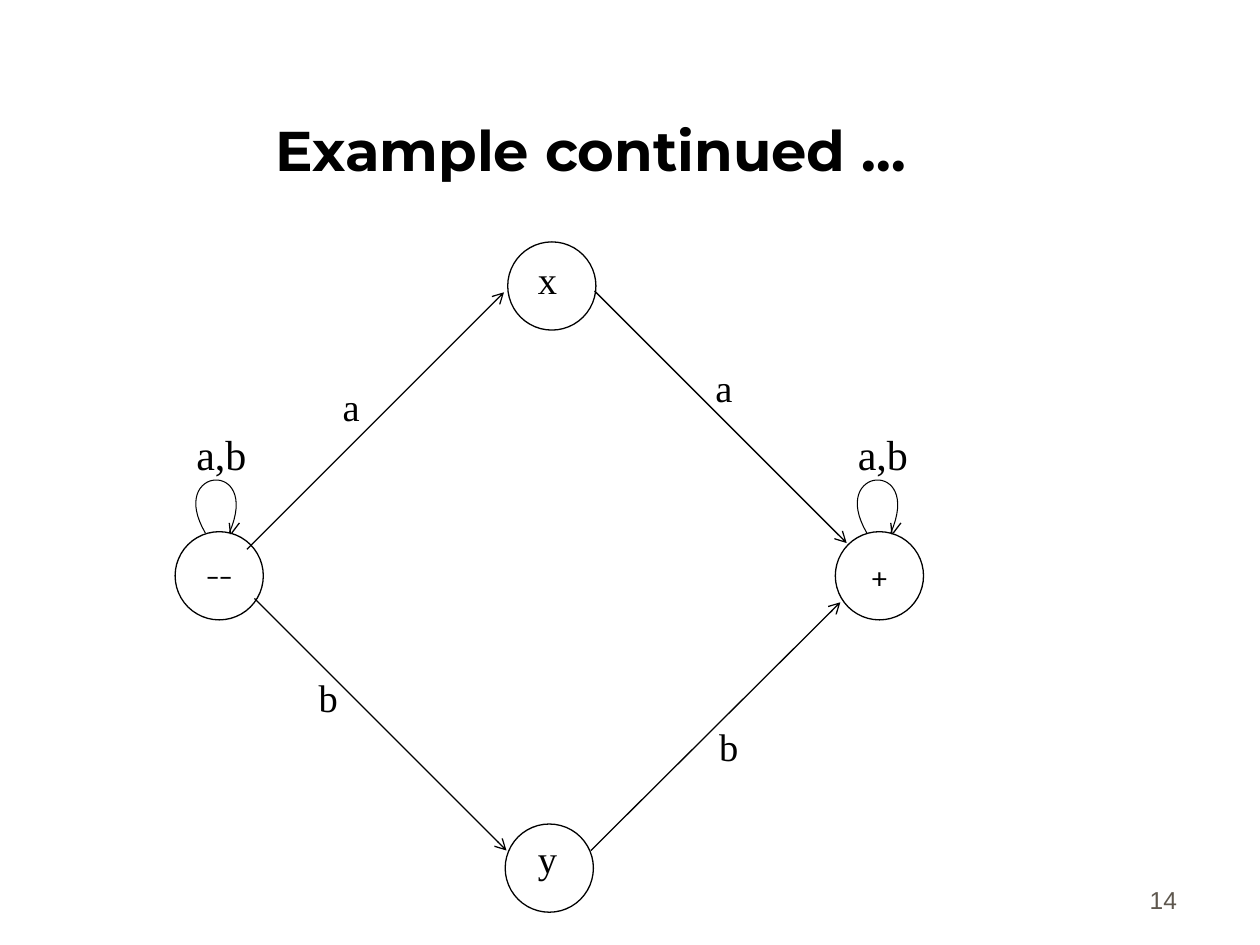
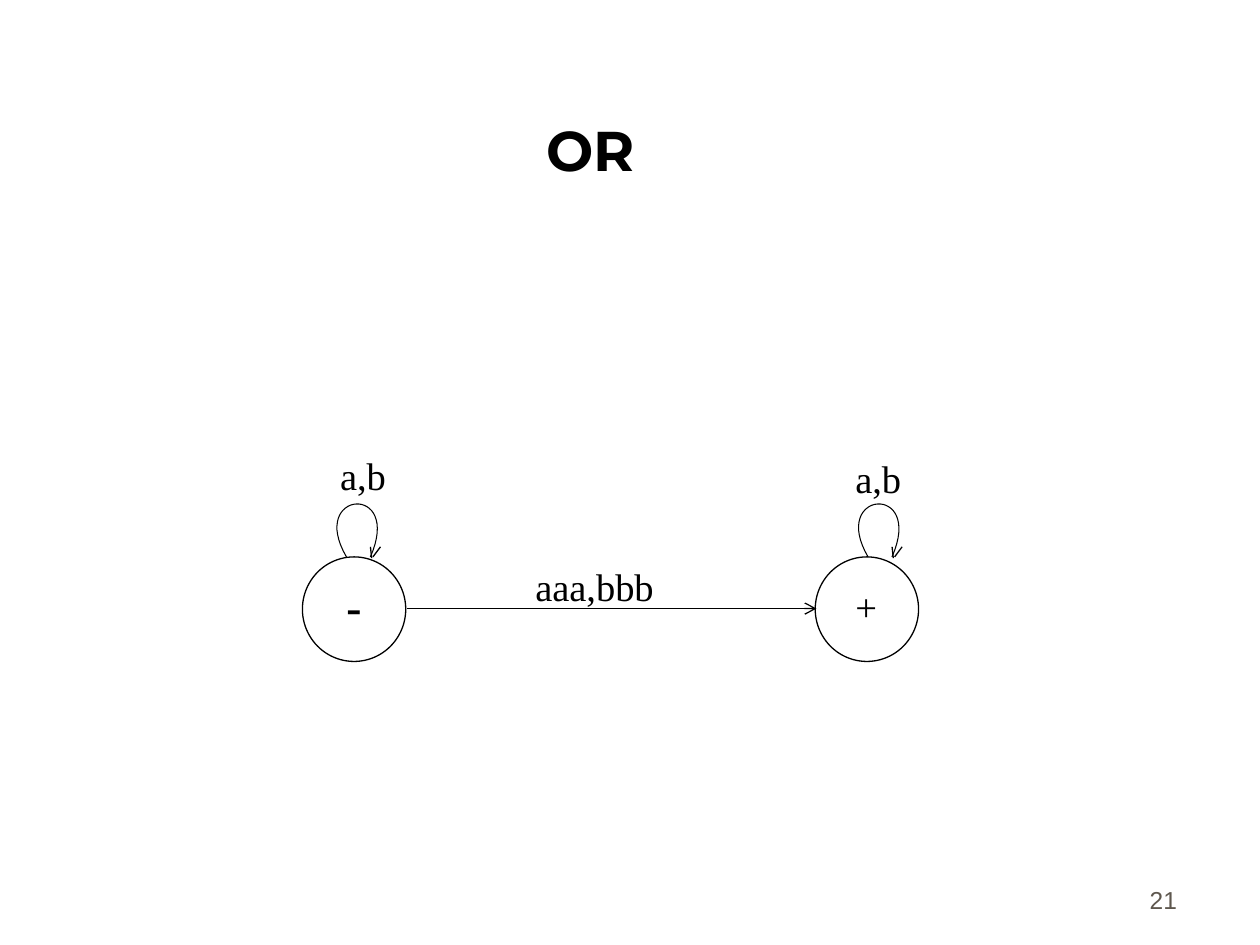
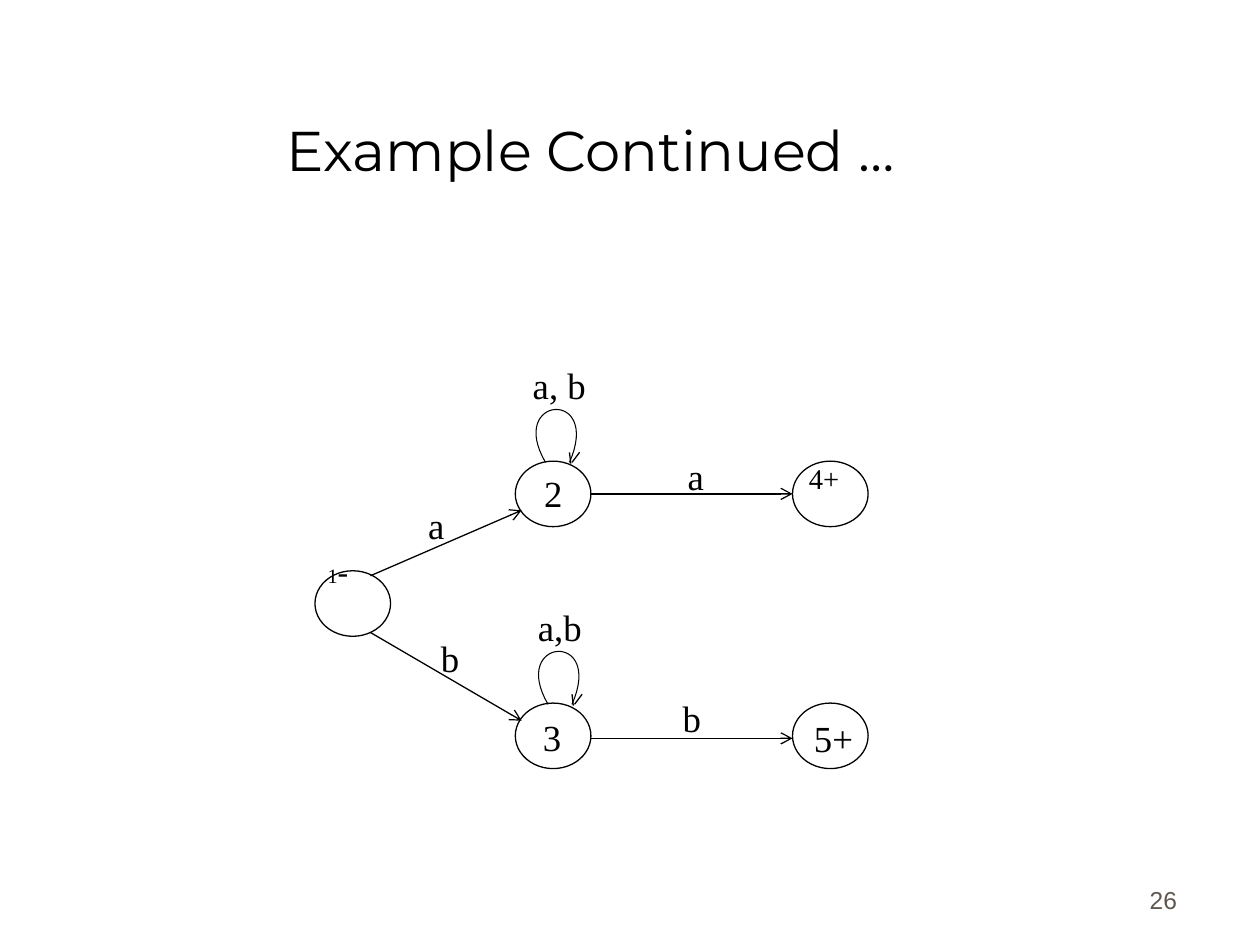
import pptx
import pptx.util
import pptx.dml.color
import pptx.enum.shapes
import pptx.enum.text
import pptx.oxml
import pptx.oxml.ns

Inches = pptx.util.Inches
Pt = pptx.util.Pt
Align = pptx.enum.text.PP_ALIGN
Anchor = pptx.enum.text.MSO_ANCHOR
Shape = pptx.enum.shapes.MSO_SHAPE
Line = pptx.enum.shapes.MSO_CONNECTOR

INK = "000000"
PAPER = "FFFFFF"
GREY = "5E574E"
SERIF = "Times New Roman"
FRAME = {
    "word_wrap": True,
    "auto_size": pptx.enum.text.MSO_AUTO_SIZE.NONE,
    "margin_left": Inches(0.1),
    "margin_right": Inches(0.1),
    "margin_top": Inches(0.05),
    "margin_bottom": Inches(0.05),
}
BASE = {"anchor": Anchor.TOP, "align": Align.LEFT}
LOW = {"vertical_anchor": Anchor.BOTTOM}
SIGN = {"margin_top": Inches(0.23)}
BEND = [(0, 0), (-0.31, -0.53), (0.45, -0.59), (0.19, 0)]
BARBS = [(0.21, 0, 0.27, -0.08), (0.19, -0.08, 0.2, 0.01)]
STEPS = 32


def hue(code):
    return pptx.dml.color.RGBColor.from_string(code)


def write(frame, runs, align=Align.LEFT, font=SERIF, bold=False, ink=INK, box={}):
    for key, val in {**FRAME, **box}.items():
        setattr(frame, key, val)
    para = frame.paragraphs[0]
    para.alignment = align
    for text, size in runs:
        run = para.add_run()
        run.text = text
        look = {"size": Pt(size), "name": font, "bold": bold}
        for key, val in look.items():
            setattr(run.font, key, val)
        run.font.color.rgb = hue(ink)


SLIDES = [
    {
        "title": "Example continued …", "bold": True, "page": "14",
        "node": (0.7, 0.7),
        "nodes": [(4.01, 6.54), (1.39, 4.22), (6.63, 4.22), (4.03, 1.92)],
        "edges": [
            (1.96, 4.36, 4, 2.32), (4.72, 2.31, 6.72, 4.31),
            (2.02, 4.75, 4.02, 6.75), (4.69, 6.75, 6.67, 4.78),
        ],
        "loops": [(6.88, 4.23), (1.63, 4.23)],
        "wide": 0.98, "size": 22,
        "labels": [
            ("a", 2.62, 2.99, {}), ("b", 2.43, 5.3, {}),
            ("a", 5.58, 2.84, {}), ("b", 5.61, 5.69, {}),
            ("x", 4.17, 1.98, {}), ("y", 4.17, 6.58, {}),
            ([("a,b", 24)], 6.71, 3.35, {}), ([("a,b", 24)], 1.46, 3.35, {}),
            ([("––", 16)], 1.25, 4.2, {"font": "Karla", "align": Align.CENTER, "box": SIGN}),
            ([("+", 16)], 6.49, 4.2, {"font": "Karla", "align": Align.CENTER, "box": SIGN}),
        ],
    },
    {
        "title": "OR", "bold": True, "page": "21",
        "node": (0.82, 0.83),
        "nodes": [(2.4, 4.42), (6.47, 4.42)],
        "edges": [(3.23, 4.83, 6.48, 4.83)],
        "loops": [(2.75, 4.42), (6.89, 4.42)],
        "wide": 1.42, "size": 22,
        "labels": [
            ("aaa,bbb", 4.15, 4.42, {}),
            ("a,b", 6.69, 3.56, {}), ("a,b", 2.6, 3.54, {}),
            ("+", 6.69, 4.58, {}), ([("-", 26)], 2.65, 4.54, {"bold": True}),
        ],
    },
    {
        "title": "Example Continued …", "bold": False, "page": "26",
        "node": (0.6, 0.52),
        "nodes": [(2.5, 4.53), (4.09, 3.66), (6.29, 3.66), (4.09, 5.58), (6.29, 5.58)],
        "edges": [
            (2.94, 4.57, 4.14, 4.05), (4.69, 3.92, 6.29, 3.92),
            (2.94, 5.02, 4.14, 5.72), (4.69, 5.86, 6.29, 5.86),
        ],
        "loops": [(4.33, 3.67), (4.35, 5.59)],
        "wide": 0.7, "size": 21,
        "labels": [
            ("b", 3.4, 5, {}), ("a", 3.3, 3.94, {}),
            ("a", 5.36, 3.55, {}), ("b", 5.32, 5.47, {}),
            ("a,b", 4.17, 4.75, {}), ("a, b", 4.13, 2.83, {}),
            ("2", 4.22, 3.69, {}), ("3", 4.21, 5.62, {}),
            ("5+", 6.32, 5.63, {"box": {"margin_left": Inches(0.14)}}),
            ([("1", 11.6), ("-", 18.2)], 2.4, 4.26,
             {"box": {"margin_left": Inches(0.2), "margin_top": Inches(0.12)}}),
            ([("4+", 16.3)], 6.27, 3.53,
             {"box": {"margin_left": Inches(0.15), "margin_top": Inches(0.13)}}),
        ],
    },
]

deck = pptx.Presentation()
deck.slide_width = Inches(10)
deck.slide_height = Inches(7.5)

for data in SLIDES:
    slide = deck.slides.add_slide(deck.slide_layouts[5])
    shapes = slide.shapes
    slide.background.fill.solid()
    slide.background.fill.fore_color.rgb = hue(PAPER)

    title = shapes.title
    place = {"left": 0.44, "top": 0.25, "width": 8.5, "height": 1.25}
    for key, val in place.items():
        setattr(title, key, Inches(val))
    write(title.text_frame, [(data["title"], 32)], Align.CENTER, "Montserrat", data["bold"], box=LOW)

    page = shapes.add_textbox(Inches(7.36), Inches(6.81), Inches(2.08), Inches(0.5))
    write(page.text_frame, [(data["page"], 14)], Align.RIGHT, "Arial", ink=GREY, box=LOW)

    wide, high = data["node"]
    for x, y in data["nodes"]:
        node = shapes.add_shape(Shape.OVAL, Inches(x), Inches(y), Inches(wide), Inches(high))
        node.shadow.inherit = False
        node.fill.solid()
        node.fill.fore_color.rgb = hue(PAPER)
        node.line.color.rgb = hue(INK)
        node.line.width = Pt(0.75)

    lines = [(edge, True) for edge in data["edges"]]
    for x, y in data["loops"]:
        dots = []
        for step in range(STEPS + 1):
            t = step / STEPS
            mix = [(1 - t) ** 3, 3 * t * (1 - t) ** 2, 3 * t * t * (1 - t), t ** 3]
            dx = sum(m * p[0] for m, p in zip(mix, BEND))
            dy = sum(m * p[1] for m, p in zip(mix, BEND))
            dots.append((Inches(x + dx), Inches(y + dy)))
        pen = shapes.build_freeform(*dots[0])
        pen.add_line_segments(dots[1:], close=False)
        loop = pen.convert_to_shape()
        loop.shadow.inherit = False
        loop.fill.background()
        loop.line.color.rgb = hue(INK)
        loop.line.width = Pt(0.6)
        lines += [((x + a, y + b, x + c, y + d), False) for a, b, c, d in BARBS]

    for ends, head in lines:
        edge = shapes.add_connector(Line.STRAIGHT, *[Inches(v) for v in ends])
        edge.line.color.rgb = hue(INK)
        edge.line.width = Pt(0.75)
        if head:
            tail = pptx.oxml.ns.qn("a:tailEnd")
            edge.line._get_or_add_ln().append(
                edge.line._get_or_add_ln().makeelement(tail, {"type": "arrow"}))
        props = edge._element.spPr
        props.append(props.makeelement(pptx.oxml.ns.qn("a:effectLst"), {}))

    for text, x, y, look in data["labels"]:
        runs = [(text, data["size"])] if isinstance(text, str) else text
        label = shapes.add_textbox(Inches(x), Inches(y), Inches(data["wide"]), Inches(0.67))
        write(label.text_frame, runs, **look)

deck.save("out.pptx")
